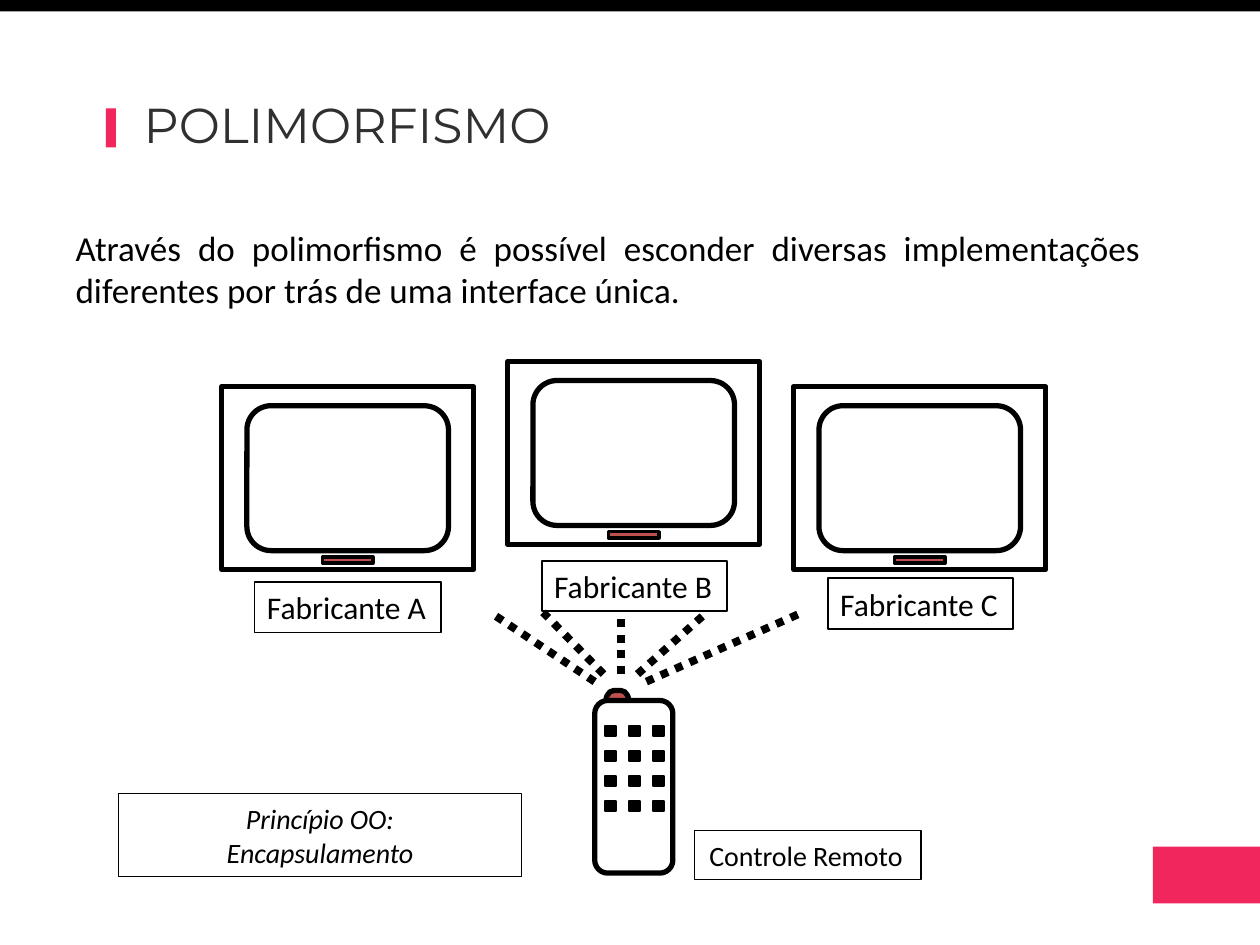
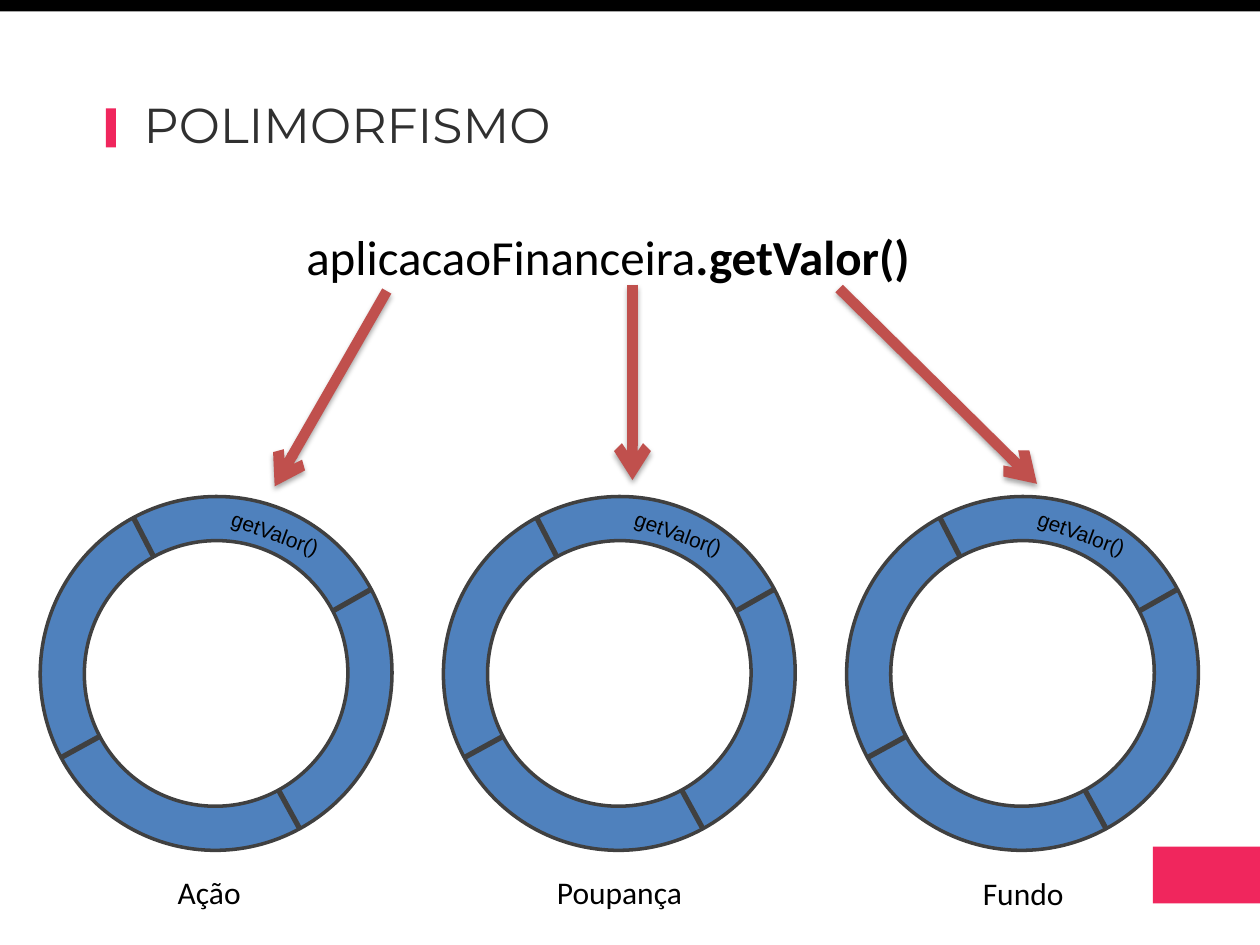
import dataclasses
import itertools
import typing

import lxml.etree
import pptx
import pptx.dml.color
import pptx.enum.dml
import pptx.enum.shapes
import pptx.enum.text
import pptx.oxml.ns
import pptx.shapes.autoshape
import pptx.shapes.connector
import pptx.shapes.shapetree
import pptx.slide
import pptx.text.text
import pptx.util

Inches = pptx.util.Inches
Pt = pptx.util.Pt
RGBColor = pptx.dml.color.RGBColor
Kind = pptx.enum.shapes.MSO_SHAPE
Align = pptx.enum.text.PP_ALIGN
Fit = pptx.enum.text.MSO_AUTO_SIZE
qn = pptx.oxml.ns.qn
Tree = typing.Union[
    pptx.shapes.shapetree.SlideShapes, pptx.shapes.shapetree.GroupShapes
]
Shape = pptx.shapes.autoshape.Shape
Line = pptx.shapes.connector.Connector

BLACK = RGBColor(0x00, 0x00, 0x00)
WHITE = RGBColor(0xFF, 0xFF, 0xFF)
PINK = RGBColor(0xF0, 0x26, 0x5D)
INK = RGBColor(0x30, 0x30, 0x30)
GREY = RGBColor(0x40, 0x40, 0x40)
RED = RGBColor(0xC0, 0x50, 0x4D)
BLUE = RGBColor(0x4F, 0x81, 0xBD)

TITLE = "POLIMORFISMO"
FONT = "Calibri"
SLIM = (0.1, 0.05)
WIDE = (0.12, 0.06)


class Box(typing.NamedTuple):
    x: float
    y: float
    w: float
    h: float

    def emu(self) -> list[int]:
        return [Inches(v) for v in self]


class Ray(typing.NamedTuple):
    x1: float
    y1: float
    x2: float
    y2: float

    def move(self, dx: float) -> "Ray":
        return Ray(self.x1 + dx, self.y1, self.x2 + dx, self.y2)


@dataclasses.dataclass(frozen=True)
class Style:
    fill: typing.Optional[RGBColor] = None
    line: typing.Optional[RGBColor] = None
    width: float = 0


@dataclasses.dataclass(frozen=True)
class Label:
    text: str
    box: Box
    size: float = 18
    inset: tuple[float, float] = SLIM
    border: float = 0
    wrap: bool = False
    italic: bool = False
    align: Align = Align.LEFT
    font: str = FONT
    turn: float = 0


@dataclasses.dataclass(frozen=True)
class Brand:
    """A television maker: its set's corner and its name tag."""
    x: float
    y: float
    tag: Label


THICK = Style(line=BLACK, width=3)
LAMP = Style(RED, BLACK, 3)
LED = Style(RED, BLACK, 2)
KEY = Style(BLACK, BLACK, 1)
BANDS = [
    (Box(0.84, 0.86, 0.08, 0.31), PINK),
    (Box(0, 0, 10, 0.09), BLACK),
    (Box(9.15, 6.72, 0.86, 0.45), PINK),
]
BRANDS = [
    Brand(1.76, 3.07, Label("Fabricante A", Box(2.02, 4.62, 1.48, 0.4), border=1)),
    Brand(4.03, 2.87, Label("Fabricante B", Box(4.3, 4.45, 1.47, 0.4), border=1)),
    Brand(6.3, 3.07, Label("Fabricante C", Box(6.57, 4.59, 1.47, 0.4), border=1)),
]
BEAMS = [
    Ray(4.72, 5.41, 3.89, 4.86),
    Ray(4.93, 5.35, 4.93, 4.86),
    Ray(5.13, 5.41, 6.37, 4.86),
    Ray(4.79, 5.35, 4.31, 4.86),
    Ray(5.06, 5.35, 5.61, 4.86),
]
NOTES = [
    Label("Princípio OO:\nEncapsulamento", Box(0.94, 6.3, 3.2, 0.66), 16, WIDE,
          0.75, wrap=True, italic=True, align=Align.CENTER),
    Label("Controle Remoto", Box(5.51, 6.59, 1.8, 0.39), 16, WIDE, 0.75),
]
NAMES = [
    Label("Ação", Box(1.29, 6.87, 0.74, 0.42), inset=WIDE),
    Label("Poupança", Box(4.3, 6.87, 1.24, 0.42), inset=WIDE),
    Label("Fundo", Box(7.68, 6.88, 0.89, 0.42), inset=WIDE),
]
RING_LEFT, RING_STEP = 0.32, 3.2
TICKS = [
    Ray(1.06, 4.11, 1.22, 4.42),
    Ray(2.94, 4.68, 2.64, 4.85),
    Ray(0.8, 5.84, 0.49, 6.01),
    Ray(2.38, 6.58, 2.21, 6.27),
]
CALLS = [
    Ray(3.07, 2.31, 2.18, 3.86),
    Ray(5.02, 2.26, 5.02, 3.81),
    Ray(6.66, 2.29, 8.23, 3.84),
]


def add_run(
    para: pptx.text.text._Paragraph, text: str, size: float,
    font: str = FONT, color: RGBColor = BLACK,
    bold: bool = False, italic: bool = False,
) -> None:
    run = para.add_run()
    run.text = text
    run.font.name = font
    run.font.size = Pt(size)
    run.font.color.rgb = color
    run.font.bold = bold
    run.font.italic = italic


def draw(tree: Tree, kind: Kind, box: Box, style: Style, turn: float = 0) -> Shape:
    shape = tree.add_shape(kind, *box.emu())
    shape.shadow.inherit = False
    shape.rotation = turn
    if style.fill is None:
        shape.fill.background()
    else:
        shape.fill.solid()
        shape.fill.fore_color.rgb = style.fill
    if style.line is None:
        shape.line.fill.background()
    else:
        shape.line.color.rgb = style.line
        shape.line.width = Pt(style.width)
    return shape


def link(tree: Tree, ray: Ray, color: RGBColor, width: float) -> Line:
    line = tree.add_connector(
        pptx.enum.shapes.MSO_CONNECTOR.STRAIGHT, *[Inches(v) for v in ray]
    )
    line.line.color.rgb = color
    line.line.width = Pt(width)
    lxml.etree.SubElement(line._element.spPr, qn("a:effectLst"))
    return line


def write(tree: Tree, label: Label) -> None:
    if label.border:
        shape = draw(tree, Kind.RECTANGLE, label.box,
                     Style(line=BLACK, width=label.border))
    else:
        shape = tree.add_textbox(*label.box.emu())
    shape.rotation = label.turn
    frame = shape.text_frame
    frame.word_wrap = label.wrap
    frame.auto_size = Fit.SHAPE_TO_FIT_TEXT
    frame.margin_left = frame.margin_right = Inches(label.inset[0])
    frame.margin_top = frame.margin_bottom = Inches(label.inset[1])
    para = frame.paragraphs[0]
    para.alignment = label.align
    for i, text in enumerate(label.text.split("\n")):
        if i:
            para.add_line_break()
        add_run(para, text, label.size, label.font, italic=label.italic)


def place(shape: Shape, box: Box, align: Align) -> pptx.text.text._Paragraph:
    """Move a placeholder and return its first paragraph."""
    shape.left, shape.top, shape.width, shape.height = box.emu()
    shape.text_frame.auto_size = Fit.NONE
    para = shape.text_frame.paragraphs[0]
    para.alignment = align
    return para


def add_page(
    deck: pptx.presentation.Presentation, align: Align
) -> tuple[pptx.slide.Slide, pptx.text.text._Paragraph]:
    """Add a slide with title and bands; return it with its body paragraph."""
    page = deck.slides.add_slide(deck.slide_layouts[1])
    head = place(page.shapes.title, Box(1.04, 0.75, 8.05, 0.53), Align.LEFT)
    head.line_spacing = 0.9
    add_run(head, TITLE, 28, "Montserrat", INK)
    for box, color in BANDS:
        draw(page.shapes, Kind.RECTANGLE, box, Style(color))
    body = place(page.placeholders[1], Box(0.5, 1.75, 8.65, 4.95), align)
    props = body._p.get_or_add_pPr()
    props.set("marL", "0")
    props.set("indent", "0")
    lxml.etree.SubElement(props, qn("a:buNone"))
    return page, body


def draw_remote(page: pptx.slide.Slide) -> None:
    tree = page.shapes.add_group_shape().shapes
    lamp = draw(tree, Kind.RIGHT_BRACKET, Box(4.86, 5.43, 0.08, 0.18), LAMP, 270)
    lamp.adjustments[0] = 0.78
    draw(tree, Kind.ROUNDED_RECTANGLE, Box(4.72, 5.56, 0.62, 1.37), THICK)
    for row, col in itertools.product(range(4), range(3)):
        box = Box(4.8 + 0.19 * col, 5.76 + 0.2 * row, 0.09, 0.08)
        draw(tree, Kind.RECTANGLE, box, KEY)


def draw_set(page: pptx.slide.Slide, x: float, y: float) -> None:
    """Draw a television: case, screen and light."""
    tree = page.shapes.add_group_shape().shapes
    draw(tree, Kind.RECTANGLE, Box(x, y, 2, 1.45), THICK)
    draw(tree, Kind.ROUNDED_RECTANGLE, Box(x + 0.2, y + 0.15, 1.6, 1.15), THICK)
    draw(tree, Kind.RECTANGLE, Box(x + 0.8, y + 1.35, 0.4, 0.05), LED)


def draw_ring(page: pptx.slide.Slide, dx: float) -> None:
    tree = page.shapes.add_group_shape().shapes
    x = RING_LEFT + dx
    draw(tree, Kind.OVAL, Box(x, 3.94, 2.79, 2.81), Style(BLUE, GREY, 2), 16.7)
    draw(tree, Kind.OVAL, Box(x + 0.35, 4.29, 2.09, 2.11),
         Style(WHITE, GREY, 2), 16.7)
    for tick in TICKS:
        link(tree, tick.move(dx), GREY, 3)
    write(tree, Label("getValor()", Box(x + 1.02, 4.07, 1.69, 0.32), 12, WIDE,
                      wrap=True, align=Align.CENTER, font="Arial", turn=20))


def draw_call(page: pptx.slide.Slide, ray: Ray) -> None:
    """Draw a shadowed arrow from the call to a ring."""
    line = link(page.shapes, ray, RED, 6)
    lxml.etree.SubElement(line.line._get_or_add_ln(), qn("a:tailEnd"), type="arrow")
    shade = lxml.etree.SubElement(
        line._element.spPr.find(qn("a:effectLst")), qn("a:outerShdw"),
        blurRad=str(Pt(3.1)), dist=str(Pt(1.8)), dir="5400000", rotWithShape="0",
    )
    color = lxml.etree.SubElement(shade, qn("a:srgbClr"), val=str(BLACK))
    lxml.etree.SubElement(color, qn("a:alpha"), val="35000")


def build_remote(deck: pptx.presentation.Presentation) -> None:
    page, body = add_page(deck, Align.JUSTIFY)
    add_run(body, "Através do polimorfismo é possível esconder diversas "
            "implementações diferentes por trás de uma interface única.", 20)
    draw_remote(page)
    for brand in BRANDS:
        draw_set(page, brand.x, brand.y)
    for brand in BRANDS:
        write(page.shapes, brand.tag)
    for beam in BEAMS:
        line = link(page.shapes, beam, BLACK, 4.5)
        line.line.dash_style = pptx.enum.dml.MSO_LINE.ROUND_DOT
    for note in NOTES:
        write(page.shapes, note)


def build_rings(deck: pptx.presentation.Presentation) -> None:
    page, body = add_page(deck, Align.CENTER)
    add_run(body, "aplicacaoFinanceira", 28)
    add_run(body, ".getValor()", 28, bold=True)
    for i, name in enumerate(NAMES):
        write(page.shapes, name)
        draw_ring(page, i * RING_STEP)
    for call in CALLS:
        draw_call(page, call)


def main() -> None:
    deck = pptx.Presentation()
    deck.slide_width, deck.slide_height = Inches(10), Inches(7.5)
    build_remote(deck)
    build_rings(deck)
    deck.save("out.pptx")


if __name__ == "__main__":
    main()
